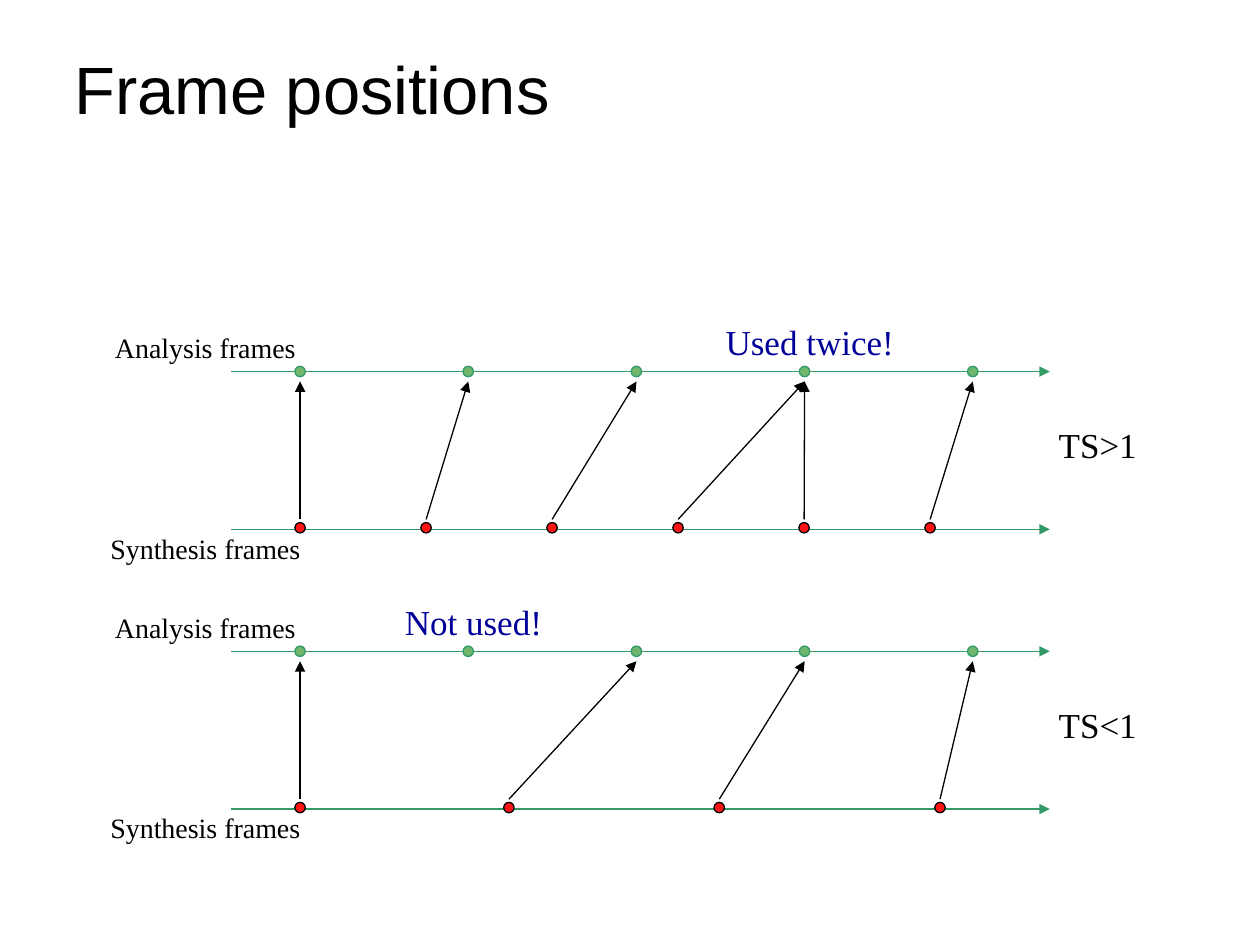
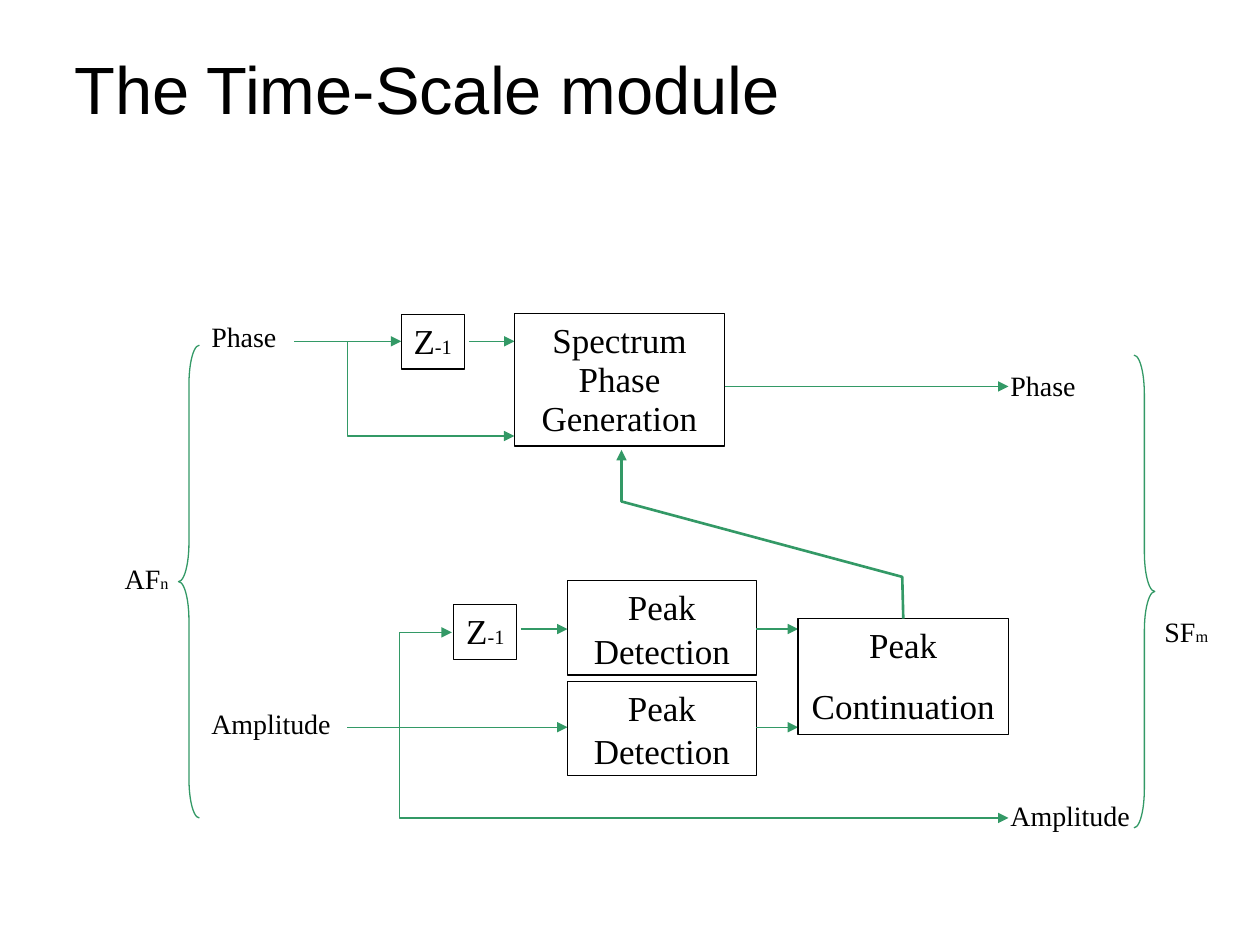
from lxml import etree
from pptx import Presentation
from pptx.dml.color import RGBColor
from pptx.enum.shapes import MSO_CONNECTOR, MSO_SHAPE
from pptx.enum.text import MSO_ANCHOR, PP_ALIGN
from pptx.oxml.ns import qn
from pptx.util import Cm, Pt

BLACK = RGBColor(0x00, 0x00, 0x00)
WHITE = RGBColor(0xFF, 0xFF, 0xFF)
GREEN = RGBColor(0x33, 0x99, 0x66)
LEAF = RGBColor(0x6F, 0xB7, 0x6F)
RED = RGBColor(0xFE, 0x14, 0x14)
NAVY = RGBColor(0x00, 0x00, 0x99)
SERIF, SANS = "Times New Roman", "Arial"
LEFT, CENTER = PP_ALIGN.LEFT, PP_ALIGN.CENTER
TOP, MIDDLE = MSO_ANCHOR.TOP, MSO_ANCHOR.MIDDLE
STRAIGHT = MSO_CONNECTOR.STRAIGHT
OVAL, RECT = MSO_SHAPE.OVAL, MSO_SHAPE.RECTANGLE
BRACES = MSO_SHAPE.LEFT_BRACE, MSO_SHAPE.RIGHT_BRACE
DOT = 0.21


def write(shape, lines, size=16, color=BLACK, align=CENTER, anchor=TOP,
          inset=0.18, script="", base=0, gaps=(0.93, 0.93), wrap=True):
    """Fill a shape with styled lines and an optional raised or lowered run."""
    frame = shape.text_frame
    frame.word_wrap, frame.vertical_anchor = wrap, anchor
    frame.margin_left = frame.margin_right = Cm(0.25)
    frame.margin_top, frame.margin_bottom = Cm(inset), Cm(0.13)
    frame.text = "\n".join(lines)
    for para, gap in zip(frame.paragraphs, gaps):
        para.alignment, para.line_spacing = align, gap
        para.space_before = Pt(size * 0.625)
        font = para.font
        font.name, font.size, font.color.rgb = SERIF, Pt(size), color
    if script:
        run = frame.paragraphs[0].add_run()
        run.text = script
        run._r.get_or_add_rPr().set("baseline", str(base))


def label(slide, text, x, y, w=2.97, h=0.94, **style):
    """Add a text box."""
    box = slide.shapes.add_textbox(Cm(x), Cm(y), Cm(w), Cm(h))
    write(box, [text], **style)


def title(slide, text):
    """Add the slide title."""
    box = slide.shapes.add_textbox(Cm(1.25), Cm(0.03), Cm(21.62), Cm(3.43))
    frame = box.text_frame
    frame.word_wrap, frame.vertical_anchor = True, MIDDLE
    frame.margin_top, frame.margin_bottom = Cm(0.2), Cm(0.13)
    frame.text = text
    font = frame.paragraphs[0].font
    font.name, font.size, font.color.rgb = SANS, Pt(38.2), BLACK


def shape(slide, kind, x, y, w, h, fill=None, color=BLACK):
    """Add a preset shape with a thin outline."""
    item = slide.shapes.add_shape(kind, Cm(x), Cm(y), Cm(w), Cm(h))
    item.shadow.inherit = False
    if fill is None:
        item.fill.background()
    else:
        item.fill.solid()
        item.fill.fore_color.rgb = fill
    item.line.color.rgb, item.line.width = color, Pt(0.75)
    return item


def block(slide, lines, x, y, w, h, fill=WHITE, **style):
    """Add a boxed process step."""
    write(shape(slide, RECT, x, y, w, h, fill), lines, size=20, **style)


def delay(slide, x, y):
    """Add a unit delay box."""
    block(slide, ["Z"], x, y, 1.27, 1.1, script="-1", base=30,
          anchor=MIDDLE, wrap=False)


def dot(slide, x, y, fill, color):
    """Add a frame marker centred on a point."""
    shape(slide, OVAL, x - DOT / 2, y - DOT / 2, DOT, DOT, fill, color)


def tip(item, color, width):
    """Style a line and put an arrowhead at its end."""
    item.line.color.rgb, item.line.width = color, Pt(width)
    head = etree.SubElement(item.line._get_or_add_ln(), qn("a:tailEnd"))
    head.set("type", "triangle")


def arrow(slide, x1, y1, x2, y2, color=GREEN):
    """Add a straight arrow."""
    line = slide.shapes.add_connector(STRAIGHT, Cm(x1), Cm(y1), Cm(x2), Cm(y2))
    tip(line, color, 0.75)
    etree.SubElement(line._element.spPr, qn("a:effectLst"))


def route(slide, left, top, points, width=0.75):
    """Add a bent arrow through points relative to a corner."""
    start, *rest = [(Cm(left + x), Cm(top + y)) for x, y in points]
    build = slide.shapes.build_freeform(*start)
    build.add_line_segments(rest, close=False)
    item = build.convert_to_shape()
    item.fill.background()
    item.shadow.inherit = False
    tip(item, GREEN, width)


def panel(slide, left, top, ratio, note, over, marks, links):
    """Draw two time axes with frames and the links between them."""
    frames = [left + 1.4 + 3.39 * k for k in range(5)]
    for y in (top, top + 3.18):
        arrow(slide, left, y, left + 16.51, y)
    for x in frames:
        dot(slide, x, top, LEAF, GREEN)
    for mark, link in zip(marks, links):
        x = left + mark
        dot(slide, x, top + 3.15, RED, BLACK)
        arrow(slide, x, top + 2.98, frames[link], top + 0.2, BLACK)
    label(slide, "Analysis frames", left - 2.95, top - 0.94, 4.88)
    label(slide, "Synthesis frames", left - 2.95, top + 3.1, 4.88)
    label(slide, ratio, left + 16.31, top + 0.94, 2.34, 1.09, size=20)
    label(slide, note, frames[over] - 2.22, top - 1.13, 4.65, 1.09,
          size=20, color=NAVY)


def phase(slide, left, top):
    """Draw the phase path."""
    label(slide, "Phase", left, top, align=LEFT)
    arrow(slide, left + 1.92, top + 0.56, left + 4.08, top + 0.56)
    route(slide, left, top, [(2.99, 0.56), (2.99, 2.47), (6.36, 2.47)])
    delay(slide, left + 4.08, top + 0.02)
    arrow(slide, left + 5.45, top + 0.56, left + 6.36, top + 0.56)
    block(slide, ["Spectrum Phase Generation"], left + 6.36, top, 4.24, 2.67)
    arrow(slide, left + 10.6, top + 1.47, left + 16.32, top + 1.47)
    label(slide, "Phase", left + 16.11, top + 0.99, align=LEFT)


def peaks(slide, left, top):
    """Draw the amplitude path with peak detection and continuation."""
    label(slide, "Amplitude", left, top + 2.41, align=LEFT)
    arrow(slide, left + 2.99, top + 2.95, left + 7.43, top + 2.95)
    route(slide, left, top, [(4.05, 2.95), (4.05, 1.04), (5.1, 1.04)])
    delay(slide, left + 5.14, top + 0.48)
    arrow(slide, left + 6.49, top + 0.97, left + 7.43, top + 0.97)
    for y, out in ((0, 0.97), (2.03, 2.95)):
        block(slide, ["Peak", "Detection"], left + 7.43, top + y, 3.81, 1.9,
              inset=0.3, gaps=(0.74, 0.46))
        arrow(slide, left + 11.24, top + out, left + 12.08, top + out)
    block(slide, ["Peak", "Continuation"], left + 12.08, top + 0.76,
          4.24, 2.34, fill=None)
    route(slide, left, top, [(14.2, 0.76), (14.18, -0.08), (8.52, -1.6),
                             (8.52, -2.64)], 1.5)
    route(slide, left, top, [(4.05, 2.87), (4.05, 4.78), (16.32, 4.78)])
    label(slide, "Amplitude", left + 16.11, top + 4.27, align=LEFT)


def sides(slide, left, top):
    """Draw the braces and names of the input and output frames."""
    for kind, x, y in zip(BRACES, (1.7, 20.96), (0, 0.2)):
        brace = shape(slide, kind, left + x, top + y, 0.42, 9.53, color=GREEN)
        brace.adjustments[0] = 1.87
    for name, sub, x, y in (("AF", "n", 0, 4.24), ("SF", "m", 20.96, 5.31)):
        label(slide, name, left + x, top + y, 2.11, 1.02, script=sub, base=-25)


def main():
    """Build and save both slides."""
    deck = Presentation()
    deck.slide_width, deck.slide_height = Cm(25.4), Cm(19.05)
    blank = deck.slide_layouts[6]

    slide = deck.slides.add_slide(blank)
    title(slide, "Frame positions")
    panel(slide, 4.65, 7.49, "TS>1", "Used twice!", 3,
          [1.4 + 2.54 * k for k in range(6)], [0, 1, 2, 3, 3, 4])
    panel(slide, 4.65, 13.13, "TS<1", "Not used!", 1,
          [1.4, 5.61, 9.85, 14.3], [0, 2, 3, 4])

    slide = deck.slides.add_slide(blank)
    title(slide, "The Time-Scale module")
    sides(slide, 1.9, 6.96)
    phase(slide, 4.01, 6.32)
    peaks(slide, 4.01, 11.71)
    deck.save("out.pptx")


if __name__ == "__main__":
    main()
